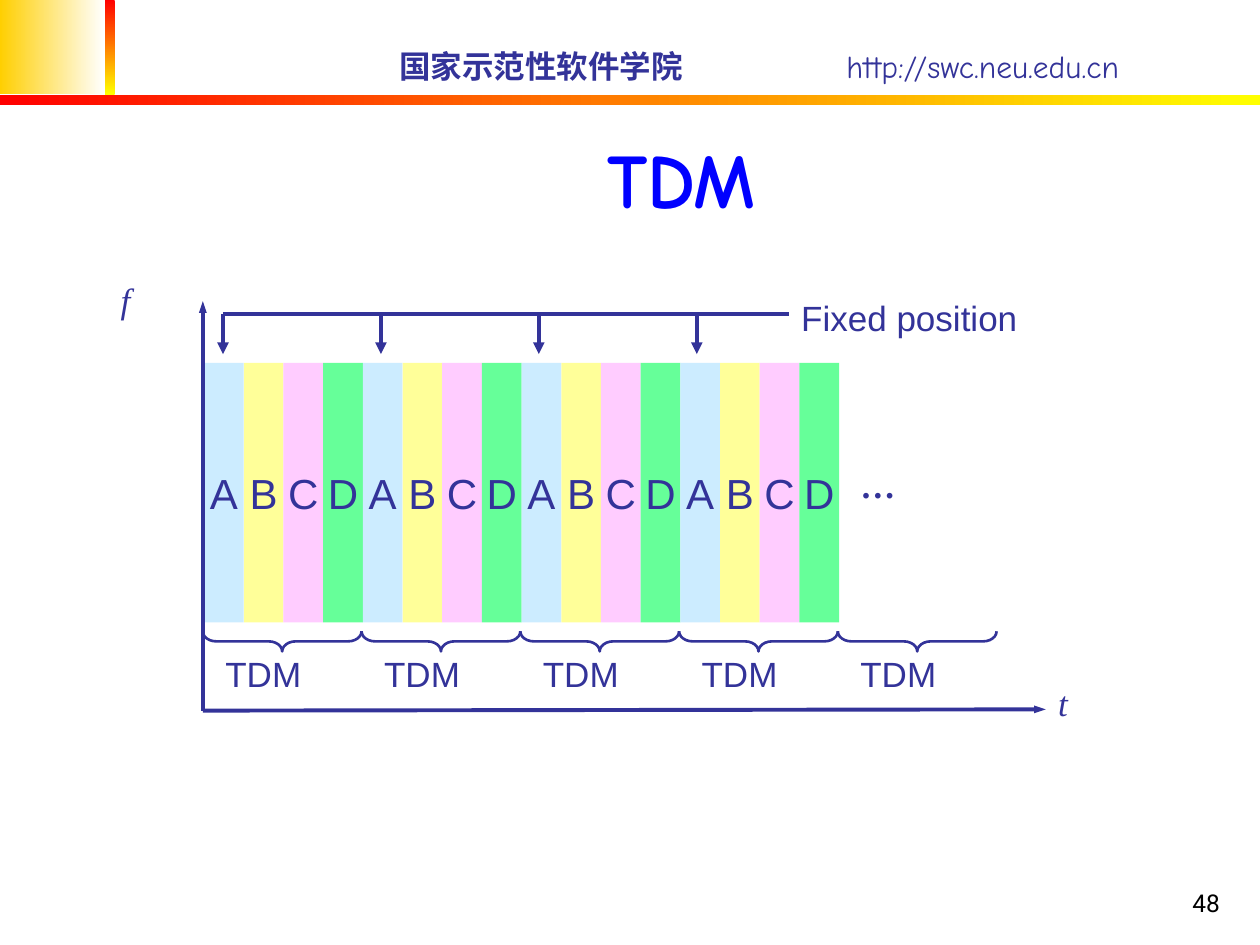
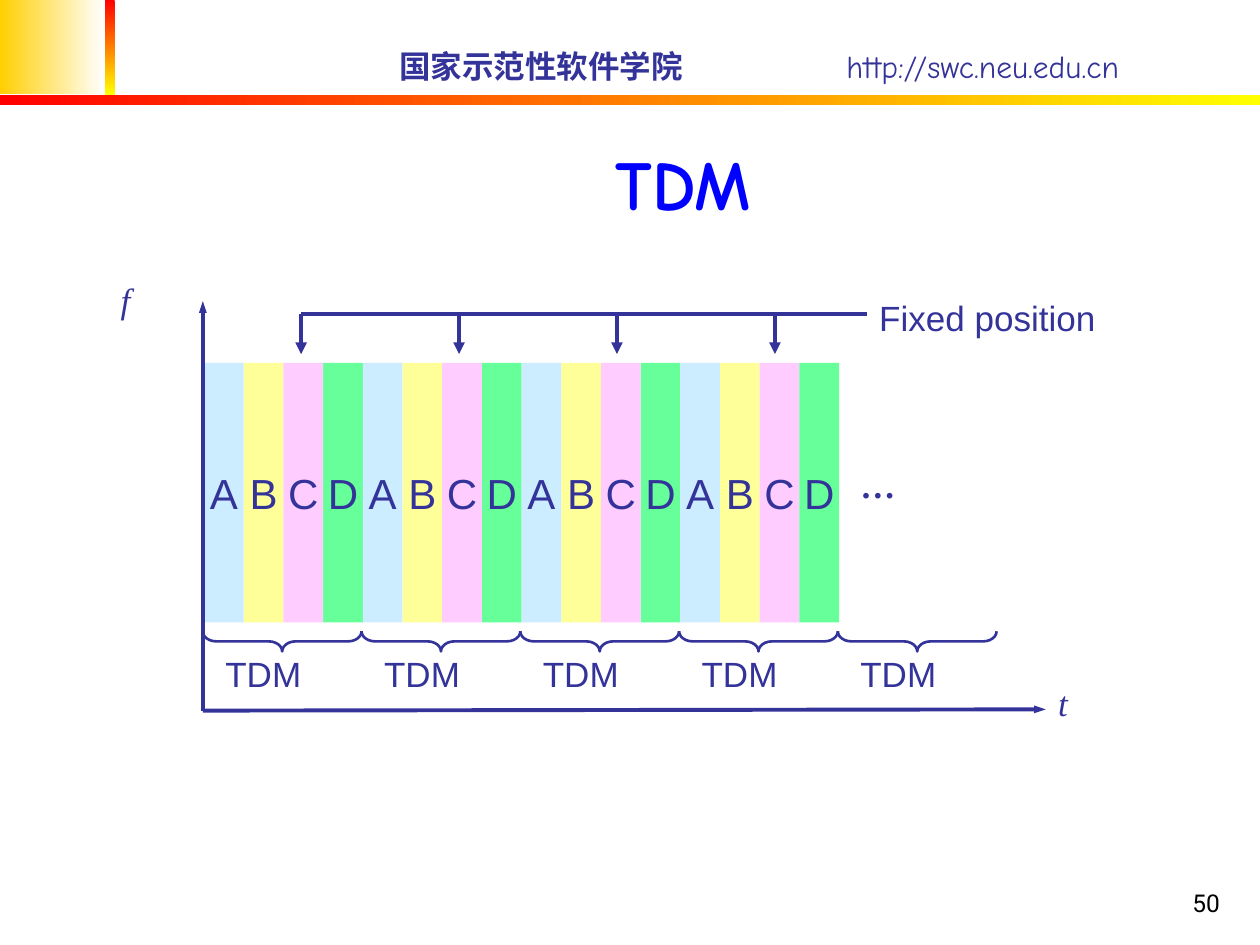
from lxml import etree
from pptx import Presentation
from pptx.dml.color import RGBColor
from pptx.enum import shapes, text
from pptx.oxml import ns
from pptx.util import Inches, Pt

NAVY = RGBColor(0x33, 0x33, 0x99)
BLUE = RGBColor(0x00, 0x00, 0xFF)
BLACK = RGBColor(0x00, 0x00, 0x00)
WHITE = RGBColor(0xFF, 0xFF, 0xFF)
GOLD = RGBColor(0xFF, 0xCF, 0x01)
RED = RGBColor(0xFF, 0x00, 0x00)
YELLOW = RGBColor(0xFF, 0xFF, 0x00)
SLOTS = {
    "A": RGBColor(0xCC, 0xEC, 0xFF),
    "B": RGBColor(0xFF, 0xFF, 0x99),
    "C": RGBColor(0xFF, 0xCC, 0xFF),
    "D": RGBColor(0x66, 0xFF, 0x99),
}
FRAME_W = 1.26
SLOT_W = FRAME_W / len(SLOTS)
FULL_FRAMES = 4
LABELLED_FRAMES = 5
DROP_SPAN = 3.76


def add_run(p, words, size, font, color=NAVY, bold=False, italic=False):
    """Append one styled run to a paragraph."""
    r = p.add_run()
    r.text = words
    r.font.size = Pt(size)
    r.font.name = font
    r.font.color.rgb = color
    r.font.bold = bold
    r.font.italic = italic


def add_text(s, box, words, size, font="Arial", align=None, anchor="TOP", spacing=None, **style):
    """Add a text box holding one line and return its paragraph."""
    tf = s.shapes.add_textbox(*map(Inches, box)).text_frame
    tf.word_wrap = True
    tf.vertical_anchor = text.MSO_ANCHOR[anchor]
    p = tf.paragraphs[0]
    p.alignment = align
    p.line_spacing = spacing
    add_run(p, words, size, font, **style)
    return p


def add_shape(s, kind, box):
    """Add a preset shape without shadow or outline."""
    sp = s.shapes.add_shape(kind, *map(Inches, box))
    sp.shadow.inherit = False
    sp.line.fill.background()
    return sp


def add_band(s, box, start, end, angle=0):
    """Add a rectangle filled with a two-colour gradient."""
    fill = add_shape(s, shapes.MSO_SHAPE.RECTANGLE, box).fill
    fill.gradient()
    fill.gradient_angle = angle
    for stop, color in zip(fill.gradient_stops, (start, end)):
        stop.color.rgb = color


def add_line(s, x1, y1, x2, y2, head=None):
    """Add a straight line, with an arrowhead of the given width if any."""
    ln = s.shapes.add_connector(shapes.MSO_CONNECTOR.STRAIGHT, *map(Inches, (x1, y1, x2, y2)))
    ln.line.color.rgb = NAVY
    ln.line.width = Pt(2.25)
    if head:
        etree.SubElement(ln.line._get_or_add_ln(), ns.qn("a:tailEnd"), type="triangle", w=head, len="med")
    etree.SubElement(ln._element.spPr, ns.qn("a:effectLst"))


def add_frame_of_slide(s, number, title_top, title_size):
    """Add the bands, the header line, the title and the page number."""
    add_band(s, (0, 0, 0.83, 0.75), GOLD, WHITE)
    add_band(s, (0.83, 0, 0.08, 0.75), RED, YELLOW, 270)
    add_band(s, (0, 0.75, 10, 0.08), RED, YELLOW)
    p = add_text(s, (3.07, 0.32, 6.7, 0.4), "国家示范性软件学院", 18, "Comic Neue", anchor="MIDDLE", bold=True)
    tabs = etree.SubElement(p._p.get_or_add_pPr(), ns.qn("a:tabLst"))
    etree.SubElement(tabs, ns.qn("a:tab"), pos=str(Inches(3.55)), algn="l")
    add_run(p, "\thttp://swc.neu.edu.cn", 18, "Comic Neue")
    add_text(s, (7.7, 6.83, 2.08, 0.5), str(number), 14, "Roboto",
             align=text.PP_ALIGN.RIGHT, anchor="BOTTOM", color=BLACK)
    add_text(s, (1.26, title_top, 8.52, 1.83 - title_top), "TDM ", title_size, "Comic Neue",
             align=text.PP_ALIGN.CENTER, anchor="BOTTOM", color=BLUE, bold=True)


def add_slots(s, x, y, stacking):
    """Add the time slots from back to front, each letter moving one frame on."""
    letters = list(SLOTS)
    for i, letter in enumerate(stacking):
        left = x + stacking[:i].count(letter) * FRAME_W + letters.index(letter) * SLOT_W
        sp = add_shape(s, shapes.MSO_SHAPE.RECTANGLE, (left, y, SLOT_W, 2.06))
        sp.fill.solid()
        sp.fill.fore_color.rgb = SLOTS[letter]
        tf = sp.text_frame
        tf.margin_left = tf.margin_right = 0
        tf.word_wrap = False
        tf.vertical_anchor = text.MSO_ANCHOR.MIDDLE
        p = tf.paragraphs[0]
        p.alignment = text.PP_ALIGN.CENTER
        add_run(p, letter, 24, "Arial")


def add_frame_labels(s, x, y):
    """Add a brace and a label under every frame."""
    brace_w = 0.16
    for i in range(LABELLED_FRAMES):
        left = x + i * FRAME_W
        box = (left + (FRAME_W - brace_w) / 2, y + (brace_w - FRAME_W) / 2, brace_w, FRAME_W)
        add_text(s, (left + 0.08, y + 0.16, 0.89, 0.4), "TDM", 20, spacing=0.9)
        sp = add_shape(s, shapes.MSO_SHAPE.LEFT_BRACE, box)
        sp.rotation = 270
        sp.adjustments[0] = 0.67
        sp.fill.background()
        sp.line.color.rgb = NAVY
        sp.line.width = Pt(1.5)


def add_fixed_position(s, x, y, label_w):
    """Add the bar whose arrows point at the same slot of each frame."""
    end = x + 4.49
    add_text(s, (end, y - 0.15, label_w, 0.4), "Fixed position", 20, spacing=0.9)
    add_line(s, x, y, end, y)
    for i in range(FULL_FRAMES):
        drop = x + i * DROP_SPAN / (FULL_FRAMES - 1)
        add_line(s, drop, y, drop, y + 0.32, "med")


def add_diagram(s, x, y, stacking, first_drop, label_w):
    """Draw the frequency-time chart with its top axis end at x, y."""
    base = y + 3.25
    add_line(s, x, base, x + 6.69, base - 0.01, "sm")
    for name, left, top in (("f", x - 0.75, y - 0.19), ("t", x + 6.69, y + 3.01)):
        add_text(s, (left, top, 0.28, 0.4), name, 20, "Times New Roman", spacing=0.9, italic=True)
    add_slots(s, x + 0.01, y + 0.49, stacking)
    add_fixed_position(s, x + first_drop, y + 0.1, label_w)
    add_frame_labels(s, x, y + 2.62)
    add_text(s, (x + 5.12, y + 1.24, 0.48, 0.43), "…", 20, "Times New Roman", bold=True)
    add_line(s, x, base, x, y, "sm")


def main():
    """Build both slides and save them."""
    prs = Presentation()
    prs.slide_width, prs.slide_height = Inches(10), Inches(7.5)
    for number, title_top, title_size, stacking, first_drop, label_w in (
        (48, 0.23, 44, "BCD" * 4 + "A" * 4, 0.16, 3.19),
        (50, 1.07, 40, "BD" * 3 + "A" * 4 + "B" + "C" * 4 + "D", 0.78, 1.93),
    ):
        s = prs.slides.add_slide(prs.slide_layouts[6])
        add_frame_of_slide(s, number, title_top, title_size)
        add_diagram(s, 1.61, 2.39, stacking, first_drop, label_w)
    prs.save("out.pptx")


if __name__ == "__main__":
    main()
